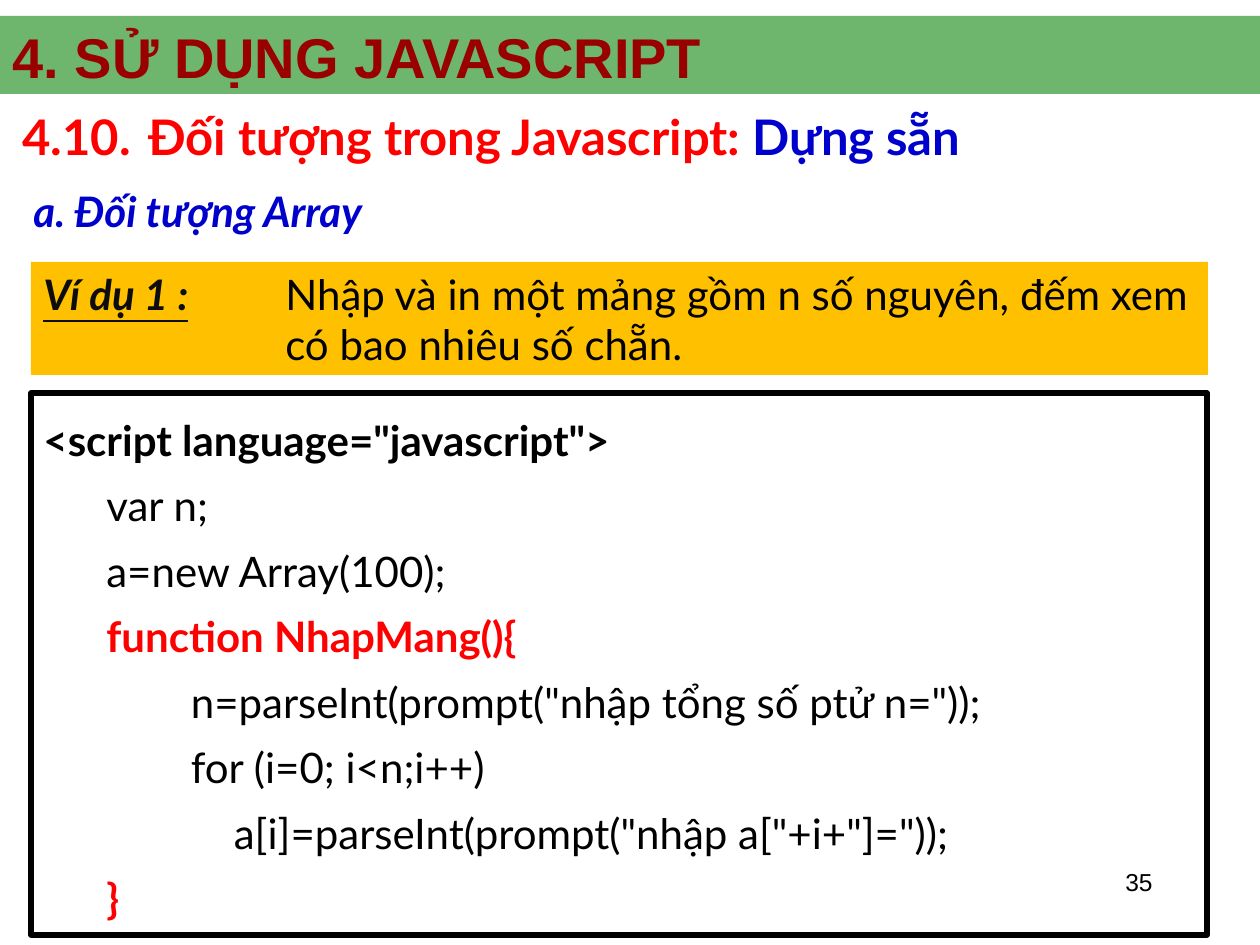
from pptx import Presentation
from pptx.dml.color import RGBColor
from pptx.enum.shapes import MSO_SHAPE as Shape
from pptx.enum.text import MSO_ANCHOR as Anchor, PP_ALIGN as Align
from pptx.oxml.ns import qn
from pptx.oxml.xmlchemy import OxmlElement as Node
from pptx.util import Emu, Inches, Pt

SCALE = Inches(1) / 126
BLACK, RED, BLUE, AMBER = "000000", "FF0000", "0000CC", "FFC000"

# Indent level, text, and whether the line is a bold red one
CODE = [
    (1, "var n;", False),
    (1, "a=new Array(100);", False),
    (1, "function NhapMang(){", True),
    (2, '  n=parseInt(prompt("nhập tổng số ptử n="));', False),
    (2, "  for (i=0; i<n;i++)", False),
    (2, '      a[i]=parseInt(prompt("nhập a["+i+"]="));', False),
    (1, "}", True),
]


def px(n):
    return Emu(round(n * SCALE))


def color(code):
    return RGBColor.from_string(code)


def style(font, size, code, bold=False, italic=False, name="Lato"):
    font.name, font.size = name, Pt(size)
    font.bold, font.italic = bold, italic
    font.color.rgb = color(code)


def add_rect(slide, box, fill=None, line=None):
    rect = slide.shapes.add_shape(Shape.RECTANGLE, *map(px, box))
    rect.shadow.inherit = False
    if fill:
        rect.fill.solid()
        rect.fill.fore_color.rgb = color(fill)
    else:
        rect.fill.background()
    if line:
        rect.line.color.rgb = color(line)
        rect.line.width = Pt(3)
    else:
        rect.line.fill.background()
    rect.text_frame.word_wrap = True
    rect.text_frame.vertical_anchor = Anchor.TOP
    return rect


def add_text(slide, box, anchor=Anchor.TOP):
    frame = slide.shapes.add_textbox(*map(px, box)).text_frame
    frame.word_wrap = True
    frame.vertical_anchor = anchor
    return frame


def write(para, text, *look, align=Align.LEFT, **more):
    para.text = text
    para.alignment = align
    style(para.font, *look, **more)


def add_title(slide):
    # Translucent band behind the title
    band = add_rect(slide, (0, 16, 1260, 78), "008000")
    alpha = Node("a:alpha")
    alpha.set("val", "57000")
    band.element.spPr.find(".//" + qn("a:srgbClr")).append(alpha)

    title = slide.shapes.title
    title.left, title.top, title.width, title.height = map(px, (0, 30, 1260, 53))
    title.text_frame.vertical_anchor = Anchor.MIDDLE
    write(title.text_frame.paragraphs[0], "4. SỬ DỤNG JAVASCRIPT",
          32, "990000", True, name="Arial")
    band.element.addnext(title.element)


def add_heads(slide):
    para = add_text(slide, (10, 94, 1197, 84), Anchor.MIDDLE).paragraphs[0]
    for text, code in (("4.10.\tĐối tượng trong Javascript: ", RED),
                       ("Dựng sẵn", BLUE)):
        run = para.add_run()
        run.text = text
        style(run.font, 28, code, True)
    sub = add_text(slide, (21, 179, 525, 63))
    write(sub.paragraphs[0], "a. Đối tượng Array", 24, BLUE, True, True)


def add_code(slide):
    frame = add_rect(slide, (31, 393, 1176, 542), line=BLACK).text_frame
    first = frame.paragraphs[0]
    write(first, '<script language="javascript">', 24, BLACK, True)
    first.line_spacing = 1.3
    for level, text, key in CODE:
        para = frame.add_paragraph()
        props = para._p.get_or_add_pPr()
        props.set("marL", str(px(63 * level)))
        props.set("indent", "0")
        para.level = level
        para.line_spacing = 1.3
        write(para, text, 24, RED if key else BLACK, key)


def add_task(slide):
    label = add_rect(slide, (31, 262, 242, 113), AMBER).text_frame.paragraphs[0]
    write(label, "Ví dụ 1 :", 24, "0D0D0D", True, True, align=Align.JUSTIFY)
    label.font.underline = True
    task = add_rect(slide, (273, 262, 935, 113), AMBER).text_frame.paragraphs[0]
    write(task, "Nhập và in một mảng gồm n số nguyên, đếm xem có bao nhiêu số chẵn.",
          24, BLACK)


def main():
    deck = Presentation()
    deck.slide_width, deck.slide_height = px(1260), px(945)
    slide = deck.slides.add_slide(deck.slide_layouts[5])

    # Page number
    page = add_text(slide, (903, 861, 262, 63))
    write(page.paragraphs[0], "35", 14, BLACK, align=Align.RIGHT, name="Arial")

    add_title(slide)
    add_heads(slide)
    add_code(slide)
    add_task(slide)
    deck.save("out.pptx")


if __name__ == "__main__":
    main()
